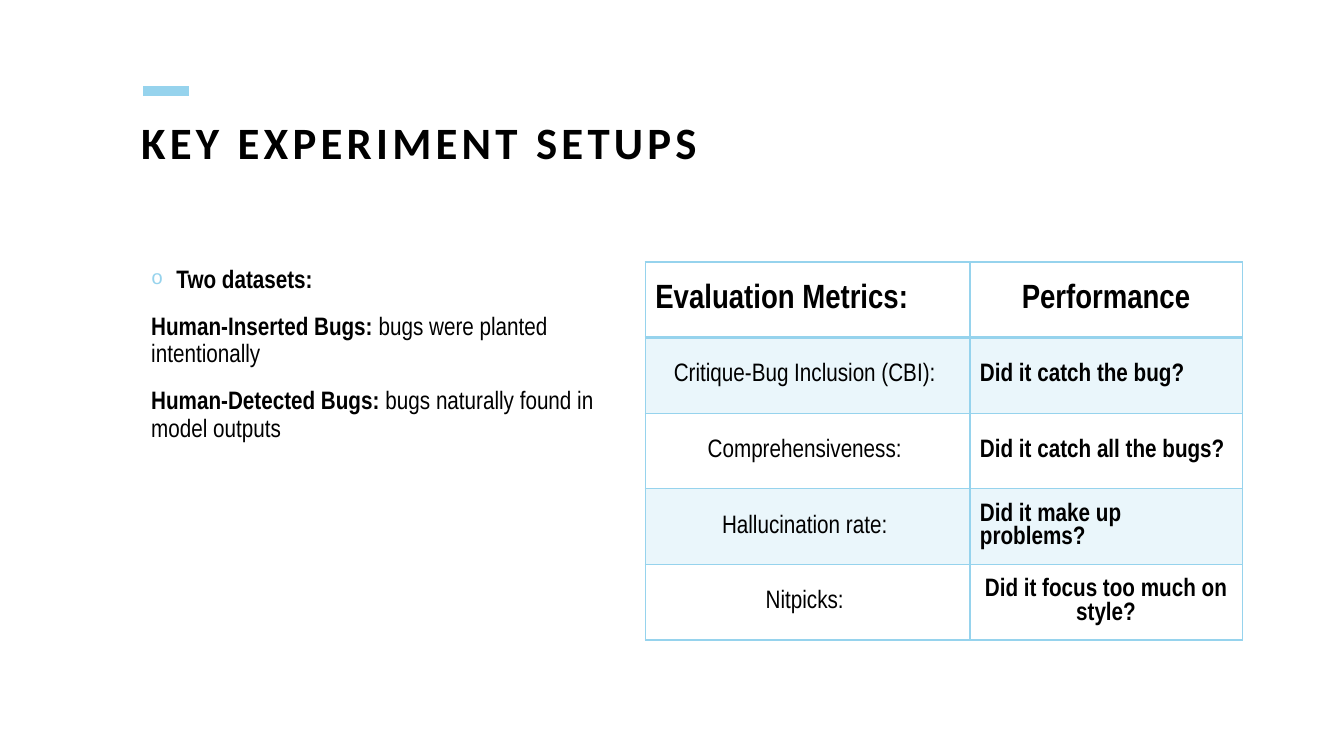
from dataclasses import dataclass

from pptx import Presentation as Deck
from pptx.dml.color import RGBColor as Color
from pptx.enum.shapes import MSO_CONNECTOR as Link
from pptx.enum.text import MSO_ANCHOR as Anchor, MSO_AUTO_SIZE as Fit, PP_ALIGN as Align
from pptx.oxml import parse_xml
from pptx.oxml.ns import nsdecls, qn
from pptx.util import Pt

SCALE = 9144


@dataclass
class Theme:
    ink: str = "000000"
    sky: str = "96D3ED"
    head: str = "Calibri"
    font: str = "Arial Narrow"
    title: int = 32
    label: int = 24
    text: int = 18


def px(size):
    return size * SCALE


def node(tag, inner="", **attrs):
    pairs = " ".join(f'{key}="{val}"' for key, val in attrs.items())
    return parse_xml(f'<a:{tag} {nsdecls("a")} {pairs}>{inner}</a:{tag}>')


class Page:
    def __init__(self, deck, theme):
        self.theme = theme
        self.slide = deck.slides.add_slide(deck.slide_layouts[1])

    def place(self, shape, box):
        shape.left, shape.top, shape.width, shape.height = map(px, box)
        frame = shape.text_frame
        frame.word_wrap = True
        frame.auto_size = Fit.NONE
        frame.vertical_anchor = Anchor.TOP
        return frame

    def run(self, para, text, size, bold=True, font=None):
        run = para.add_run()
        run.text = text
        run.font.name = font or self.theme.font
        run.font.size = Pt(size)
        run.font.bold = bold
        run.font.color.rgb = Color.from_string(self.theme.ink)
        return run

    def bar(self, left, top, right, width):
        line = self.slide.shapes.add_connector(
            Link.STRAIGHT, px(left), px(top), px(right), px(top))
        line.line.color.rgb = Color.from_string(self.theme.sky)
        line.line.width = Pt(width)
        line._element.spPr.append(node("effectLst"))

    def title(self, text, box):
        frame = self.place(self.slide.shapes.title, box)
        frame.margin_left = frame.margin_right = 0
        frame.margin_top = frame.margin_bottom = 0
        para = frame.paragraphs[0]
        para.alignment = Align.LEFT
        para.line_spacing = 0.9
        run = self.run(para, text, self.theme.title, font=self.theme.head)
        run.font._element.set("spc", "300")

    def body(self, items, box):
        frame = self.place(self.slide.placeholders[1], box)
        for row, (mark, runs) in enumerate(items):
            para = frame.add_paragraph() if row else frame.paragraphs[0]
            para.line_spacing = 0.9
            para.space_before = Pt(14)
            props = para._p.get_or_add_pPr()
            dent = px(25) if mark else 0
            props.set("marL", str(dent))
            props.set("indent", str(-dent))
            if mark:
                props.append(node("buClr", f'<a:srgbClr val="{self.theme.sky}"/>'))
                props.append(node("buSzPct", val=80000))
                props.append(node("buFont", typeface="Courier New"))
                props.append(node("buChar", char=mark))
            else:
                props.append(node("buNone"))
            for text, bold in runs:
                self.run(para, text, self.theme.text, bold)

    def cell(self, cell, text, size, bold, align, tint, edges):
        cell.vertical_anchor = Anchor.MIDDLE
        para = cell.text_frame.paragraphs[0]
        para.alignment = align
        para.line_spacing = 1.0
        self.run(para, text, size, bold)
        props = cell._tc.get_or_add_tcPr()
        if tint:
            cell.fill.solid()
            cell.fill.fore_color.rgb = Color.from_string(self.theme.sky)
            tone = props.find(f".//{qn('a:srgbClr')}")
            tone.append(node("alpha", val=20000))
        else:
            cell.fill.background()
        paint = f'<a:solidFill><a:srgbClr val="{self.theme.sky}"/></a:solidFill>'
        for spot, (tag, width) in enumerate(edges.items()):
            props.insert(spot, node(tag, paint, w=Pt(width)))

    def table(self, rows, left, top, widths, high):
        grid = self.slide.shapes.add_table(
            len(rows), len(widths), px(left), px(top),
            px(sum(widths)), px(high * len(rows))).table
        grid.first_row = grid.horz_banding = False
        for col, width in zip(grid.columns, widths):
            col.width = px(width)
        for r, (pair, aligns) in enumerate(rows):
            grid.rows[r].height = px(high)
            size = self.theme.text if r else self.theme.label
            edges = {"lnL": 1, "lnR": 1, "lnT": 1, "lnB": 1 if r else 2}
            for c, (text, align) in enumerate(zip(pair, aligns)):
                bold = r == 0 or c == 1
                self.cell(grid.cell(r, c), text, size, bold, align, r % 2, edges)


def main():
    deck = Deck()
    deck.slide_width, deck.slide_height = px(1333), px(750)
    page = Page(deck, Theme())
    page.bar(142, 90, 187, 7)
    page.title("KEY EXPERIMENT SETUPS", (140, 120, 1074, 100))
    page.body([
        ("o", [("Two datasets:", True)]),
        ("", [("Human-Inserted Bugs: ", True),
              ("bugs were planted intentionally", False)]),
        ("", [("Human-Detected Bugs:", True),
              (" bugs naturally found in model outputs", False)]),
    ], (140, 260, 461, 270))
    left, mid = Align.LEFT, Align.CENTER
    page.table([
        (("Evaluation Metrics:", "Performance"), (left, mid)),
        (("Critique-Bug Inclusion (CBI): ", "Did it catch the bug?"), (mid, left)),
        (("Comprehensiveness: ", "Did it catch all the bugs?"), (mid, left)),
        (("Hallucination rate: ", "Did it make up problems?"), (mid, left)),
        (("Nitpicks: ", "Did it focus too much on style?"), (mid, mid)),
    ], 640, 260, (322, 270), 75)
    deck.save("out.pptx")


if __name__ == "__main__":
    main()
